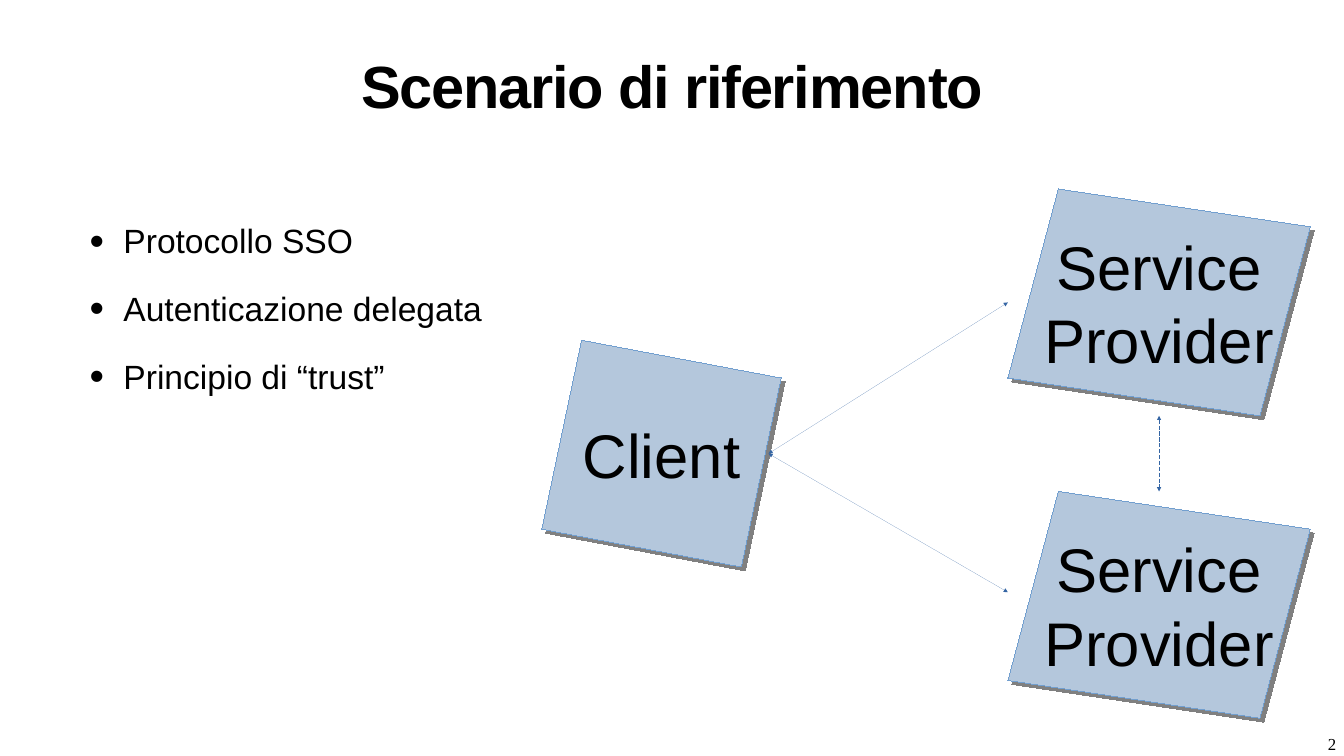
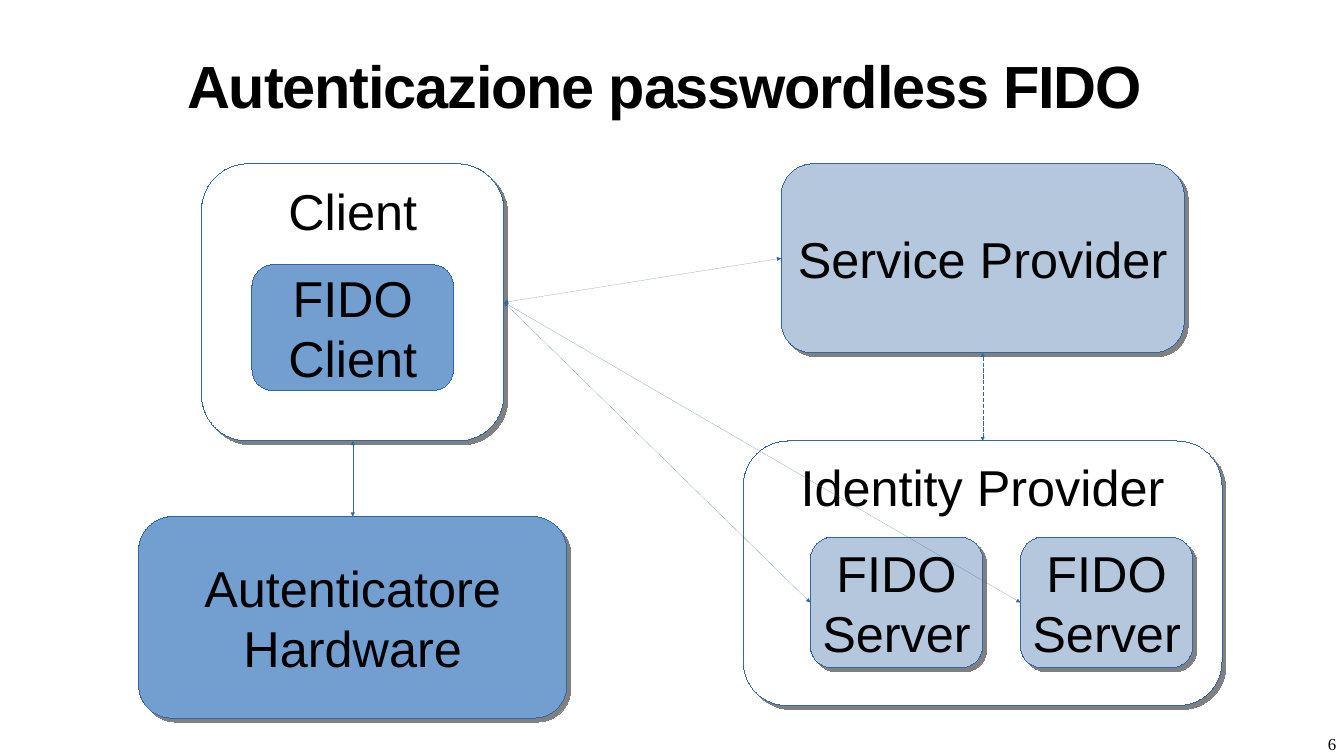
"""Build two slides on single sign-on and passwordless FIDO authentication."""
import lxml.etree
import pptx
import pptx.dml.color
import pptx.enum.dml
import pptx.enum.shapes
import pptx.enum.text
import pptx.oxml.ns
import pptx.util

PX = 9144
WHITE, BLACK, PALE, BLUE, EDGE, SHADE = "FFFFFF", "000000", "B4C7DC", "729FCF", "3465A4", "808080"
CENTER = pptx.enum.text.PP_ALIGN.CENTER
TOP, MIDDLE = pptx.enum.text.MSO_ANCHOR.TOP, pptx.enum.text.MSO_ANCHOR.MIDDLE
LONG_DASH = pptx.enum.dml.MSO_LINE.LONG_DASH
STRAIGHT = pptx.enum.shapes.MSO_CONNECTOR.STRAIGHT
ROUNDED = pptx.enum.shapes.MSO_SHAPE.ROUNDED_RECTANGLE
rgb = pptx.dml.color.RGBColor.from_string
qn = pptx.oxml.ns.qn
add_xml = lxml.etree.SubElement


def write(frame, text, size, font="Arial", bold=None, align=None, anchor=TOP, inset=None,
          leading=None, before=0, tracking=None, bullet=None):
    """Fill a text frame with one paragraph per line of text."""
    frame.word_wrap = True
    frame.vertical_anchor = anchor
    if inset is not None:
        frame.margin_left = frame.margin_right = frame.margin_top = frame.margin_bottom = inset * PX
    for index, line in enumerate(text.split("\n")):
        paragraph = frame.add_paragraph() if index else frame.paragraphs[0]
        if bullet:
            props = paragraph._p.get_or_add_pPr()
            props.set("marL", str(67 * PX))
            props.set("indent", str(-67 * PX))
            add_xml(add_xml(props, qn("a:buClr")), qn("a:srgbClr"), val=BLACK)
            add_xml(props, qn("a:buSzPct"), val="123000")
            add_xml(props, qn("a:buFont"), typeface=font)
            add_xml(props, qn("a:buChar"), char=bullet)
        paragraph.alignment = align
        paragraph.line_spacing = leading
        if index and before:
            paragraph.space_before = pptx.util.Pt(before)
        run = paragraph.add_run()
        run.text = line
        run.font.size = pptx.util.Pt(size)
        run.font.name = font
        run.font.bold = bold
        run.font.color.rgb = rgb(BLACK)
        if tracking:
            run._r.get_or_add_rPr().set("spc", str(tracking))


def style(item, edge=EDGE, fill=None, shadow=True, dash=None):
    """Style a hairline block, or a double-headed arrow when there is no fill."""
    item.line.color.rgb = rgb(edge)
    props = item._element.spPr
    outline = props.find(qn("a:ln"))
    outline.set("w", "0")
    if fill is None:
        item.line.dash_style = dash
        for end in ("a:headEnd", "a:tailEnd"):
            add_xml(outline, qn(end), type="triangle")
        add_xml(props, qn("a:effectLst"))
        return
    item.fill.solid()
    item.fill.fore_color.rgb = rgb(fill)
    item.shadow.inherit = False
    if shadow:
        cast = add_xml(props.find(qn("a:effectLst")), qn("a:outerShdw"), blurRad="0",
                       dist=str(pptx.util.Pt(8)), dir="2700000", algn="tl", rotWithShape="0")
        add_xml(cast, qn("a:srgbClr"), val=SHADE)


deck = pptx.Presentation()
deck.slide_width, deck.slide_height = 2667 * PX, 1500 * PX

slides = []
for title, number in (("Scenario di riferimento", "2"), ("Autenticazione passwordless FIDO ", "6")):
    slide = deck.slides.add_slide(deck.slide_layouts[6])
    slide.background.fill.solid()
    slide.background.fill.fore_color.rgb = rgb(WHITE)
    heading = slide.shapes.add_textbox(132 * PX, 118 * PX, 2403 * PX, 157 * PX)
    write(heading.text_frame, title, 85, bold=True, align=CENTER, inset=6, leading=0.8, tracking=-170)
    page = slide.shapes.add_textbox(2625 * PX, 1450 * PX, 36 * PX, 47 * PX)
    write(page.text_frame, number, 24, font="Times New Roman")
    slides.append(slide)
scenario, passwordless = slides

topics = scenario.shapes.add_textbox(172 * PX, 440 * PX, 2403 * PX, 903 * PX)
write(topics.text_frame, "Protocollo SSO\nAutenticazione delegata\nPrincipio di “trust”", 48,
      inset=6, leading=0.9, before=45, bullet="•")

drop = 75
for label, left, top, width, height, lean in (
    ("Client", 1075, 675, 475, 450, 79),
    ("Service Provider", 2000, 375, 600, 450, 100),
    ("Service Provider", 2000, 975, 600, 450, 100),
):
    right, bottom = left + width, top + height
    outline = scenario.shapes.build_freeform((left + lean) * PX, top * PX, scale=1.0)
    corners = ((left, bottom - drop), (right - lean, bottom), (right, top + drop))
    outline.add_line_segments([(x * PX, y * PX) for x, y in corners], close=True)
    party = outline.convert_to_shape()
    style(party, edge=BLUE, fill=PALE)
    write(party.text_frame, label, 88, align=CENTER, anchor=MIDDLE)

for x1, y1, x2, y2, dash in (
    (1525, 900, 2000, 600, None),
    (1525, 900, 2000, 1175, None),
    (2300, 825, 2300, 975, LONG_DASH),
):
    exchange = scenario.shapes.add_connector(STRAIGHT, x1 * PX, y1 * PX, x2 * PX, y2 * PX)
    style(exchange, dash=dash)

parties = {}
for key, label, left, top, width, height, fill, anchor in (
    ("client", "Client", 400, 325, 600, 550, WHITE, TOP),
    ("fido client", "FIDO Client", 500, 525, 400, 250, BLUE, MIDDLE),
    ("authenticator", "Autenticatore Hardware", 275, 1025, 850, 400, BLUE, MIDDLE),
    ("service", "Service Provider", 1550, 325, 800, 375, PALE, MIDDLE),
    ("identity", "Identity Provider", 1475, 875, 950, 525, WHITE, TOP),
    ("server 1", "FIDO Server", 1608, 1066, 342, 259, PALE, MIDDLE),
    ("server 2", "FIDO Server", 2025, 1066, 342, 259, PALE, MIDDLE),
):
    party = passwordless.shapes.add_shape(ROUNDED, left * PX, top * PX, width * PX, height * PX)
    style(party, fill=fill, shadow=key != "fido client")
    write(party.text_frame, label, 72, align=CENTER, anchor=anchor)
    parties[key] = party

for source, source_side, target, target_side, dash in (
    ("client", 2, "authenticator", 0, None),
    ("client", 3, "service", 1, None),
    ("service", 2, "identity", 0, LONG_DASH),
    ("client", 3, "server 1", 1, None),
    ("client", 3, "server 2", 1, None),
):
    exchange = passwordless.shapes.add_connector(STRAIGHT, 0, 0, 0, 0)
    exchange.begin_connect(parties[source], source_side)
    exchange.end_connect(parties[target], target_side)
    style(exchange, dash=dash)

deck.save("out.pptx")
